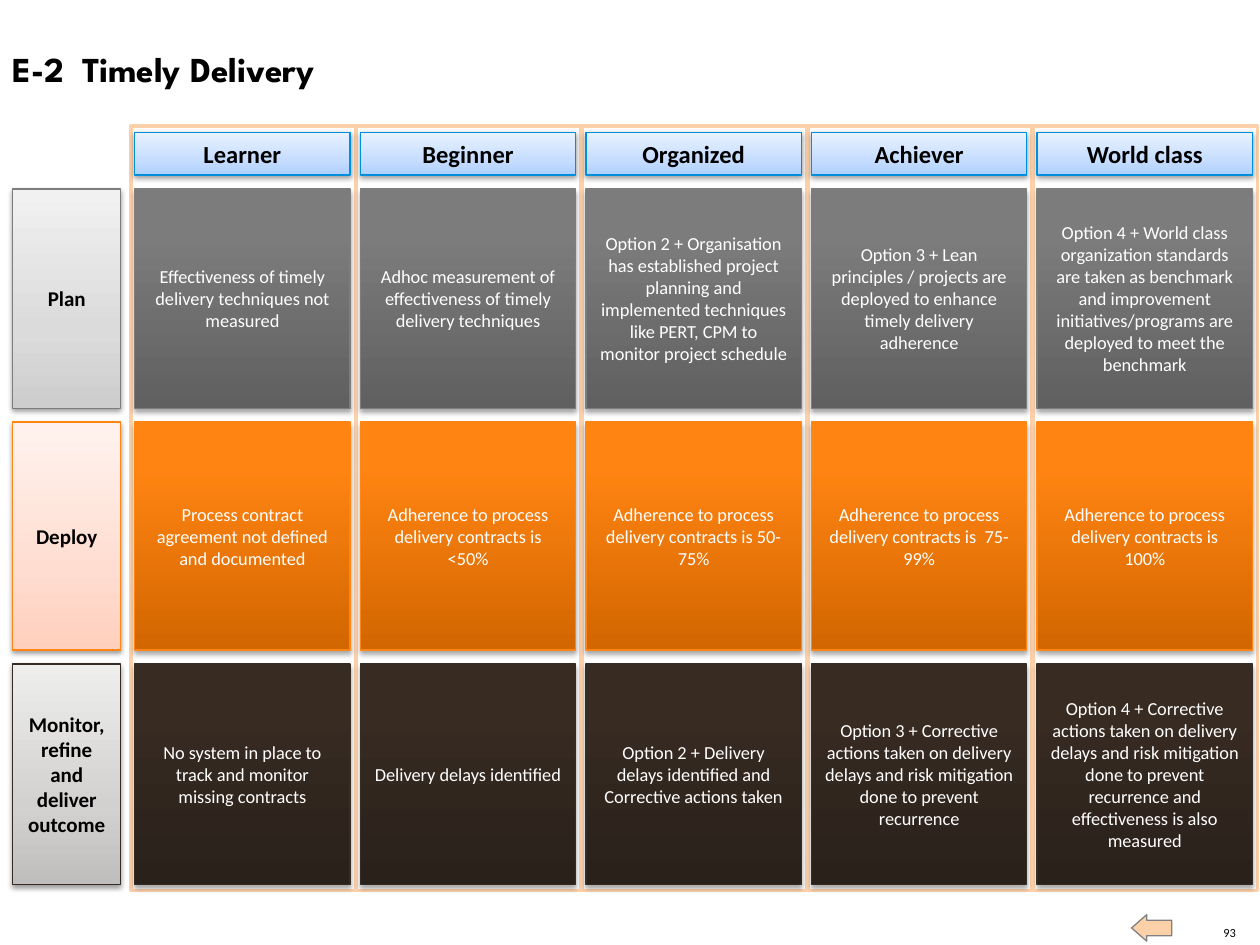
from lxml import etree
from pptx import Presentation
from pptx import util as u
from pptx.dml.color import RGBColor
from pptx.enum import shapes, text
from pptx.oxml import ns

BLACK = RGBColor(0x00, 0x00, 0x00)
WHITE = RGBColor(0xFF, 0xFF, 0xFF)
PEACH = RGBColor(0xFC, 0xD1, 0xAA)
GRAY = RGBColor(0x80, 0x80, 0x80)
PLAN_LINE = RGBColor(0x7D, 0x7D, 0x7D)
DEPLOY_LINE = RGBColor(0xFF, 0x86, 0x15)
MONITOR_LINE = RGBColor(0x35, 0x2C, 0x25)
HEADER_LINE = RGBColor(0x00, 0x8F, 0xDC)


def gradient(bottom, middle, top, middle_at):
    colors = [RGBColor.from_string(value) for value in (bottom, middle, top)]
    return list(zip((0, middle_at, 100), colors))


HEADER_FILL = gradient("AECFFF", "C6DDFF", "E9F2FF", 35)

LABEL_SHADOW = (38, 1.6)
CELL_SHADOW = (35, 1.8)

COLUMN_LEFT = 74.9
COLUMN_PITCH = 128.9
COLUMN_WIDTH = 128.2
CELL_INSET = 2.1
CELL_WIDTH = 123.1

LEVELS = ["Learner", "Beginner", "Organized", "Achiever", "World class"]

ROWS = [
    ("Plan", 108, 125.3, PLAN_LINE,
     gradient("CDCDCD", "DBDBDB", "F1F1F1", 35),
     gradient("606060", "7C7C7C", "7D7D7D", 80),
     ["Effectiveness of timely delivery techniques not measured",
      "Adhoc measurement of effectiveness of timely delivery techniques",
      "Option 2 + Organisation has established project planning and "
      "implemented techniques like PERT, CPM to monitor project schedule",
      "Option 3 + Lean principles / projects are deployed to enhance "
      "timely delivery adherence",
      "Option 4 + World class organization standards are taken as benchmark "
      "and improvement initiatives/programs are deployed to meet the benchmark"]),
    ("Deploy", 241.2, 130.3, DEPLOY_LINE,
     gradient("FFCFBD", "FFDDD1", "FFF2EE", 35),
     gradient("D26600", "FF8412", "FF8514", 80),
     ["Process contract agreement not defined and documented",
      "Adherence to process delivery contracts is <50%",
      "Adherence to process delivery contracts is 50-75%",
      "Adherence to process delivery contracts is  75-99%",
      "Adherence to process delivery contracts is 100%"]),
    ("Monitor, refine and deliver outcome", 379.4, 126, MONITOR_LINE,
     gradient("C0BEBC", "D3D1D0", "EEEEED", 35),
     gradient("2A211B", "372B22", "372B22", 80),
     ["No system in place to track and monitor missing contracts",
      "Delivery delays identified",
      "Option 2 + Delivery delays identified and Corrective actions taken",
      "Option 3 + Corrective actions taken on delivery delays and risk "
      "mitigation done to prevent recurrence",
      "Option 4 + Corrective actions taken on delivery delays and risk "
      "mitigation done to prevent recurrence and effectiveness is also measured"]),
]


def write(frame, words, size, color, bold=False, font="Calibri",
          align=text.PP_ALIGN.CENTER):
    paragraph = frame.paragraphs[0]
    paragraph.alignment = align
    run = paragraph.add_run()
    run.text = words
    run.font.name = font
    run.font.size = u.Pt(size)
    run.font.bold = bold
    run.font.color.rgb = color


def add_box(slide, kind, box, line_color, line_width):
    shape = slide.shapes.add_shape(kind, *map(u.Pt, box))
    shape.line.color.rgb = line_color
    shape.line.width = u.Pt(line_width)
    shape.shadow.inherit = False
    return shape


def add_solid(slide, kind, box, fill, line_color, line_width):
    shape = add_box(slide, kind, box, line_color, line_width)
    shape.fill.solid()
    shape.fill.fore_color.rgb = fill
    return shape


def add_color(parent, color):
    return etree.SubElement(parent, ns.qn("a:srgbClr"), val=str(color))


def set_gradient(shape, stops):
    shape.fill.gradient()
    shape.fill.gradient_angle = 90
    stop_list = shape.element.spPr.find(".//" + ns.qn("a:gsLst"))
    for stop in list(stop_list):
        stop_list.remove(stop)
    for position, color in stops:
        stop = etree.SubElement(stop_list, ns.qn("a:gs"), pos=str(position * 1000))
        add_color(stop, color)


def set_shadow(shape, opacity, distance):
    effects = shape.element.spPr.find(ns.qn("a:effectLst"))
    shadow = etree.SubElement(
        effects, ns.qn("a:outerShdw"), blurRad=str(u.Pt(3.1)),
        dist=str(u.Pt(distance)), dir="5400000", rotWithShape="0")
    etree.SubElement(add_color(shadow, BLACK), ns.qn("a:alpha"), val=str(opacity * 1000))


def add_card(slide, box, words, stops, line_color, shadow, size, color, bold):
    shape = add_box(slide, shapes.MSO_SHAPE.RECTANGLE, box, line_color, 0.75)
    set_gradient(shape, stops)
    set_shadow(shape, *shadow)
    frame = shape.text_frame
    frame.word_wrap = True
    frame.vertical_anchor = text.MSO_ANCHOR.MIDDLE
    write(frame, words, size, color, bold)


def add_title(slide, words):
    frame = slide.shapes.add_textbox(*map(u.Pt, (0, 23.8, 619.2, 31.7))).text_frame
    frame.word_wrap = True
    frame.auto_size = text.MSO_AUTO_SIZE.SHAPE_TO_FIT_TEXT
    write(frame, words, 20, BLACK, True, "League Spartan", text.PP_ALIGN.LEFT)


def add_page_number(slide, number):
    frame = slide.shapes.add_textbox(*map(u.Pt, (697.7, 528.5, 8.6, 8.6))).text_frame
    frame.margin_left = frame.margin_right = frame.margin_top = frame.margin_bottom = 0
    frame.word_wrap = False
    frame.auto_size = text.MSO_AUTO_SIZE.SHAPE_TO_FIT_TEXT
    frame.vertical_anchor = text.MSO_ANCHOR.BOTTOM
    write(frame, number, 7.1, BLACK, align=text.PP_ALIGN.RIGHT)


def add_back_arrow(slide):
    arrow = add_solid(slide, shapes.MSO_SHAPE.RIGHT_ARROW,
                      (646.6, 522.7, 23, 15.1), PEACH, GRAY, 0.75)
    arrow.rotation = 180
    arrow.adjustments[0] = 0.59
    arrow.adjustments[1] = 0.57


def main():
    presentation = Presentation()
    presentation.slide_width = u.Pt(720)
    presentation.slide_height = u.Pt(540)
    slide = presentation.slides.add_slide(presentation.slide_layouts[6])

    add_page_number(slide, "93")
    add_back_arrow(slide)
    add_title(slide, "E-2  Timely Delivery")

    column_lefts = [COLUMN_LEFT + index * COLUMN_PITCH for index in range(len(LEVELS))]
    cell_lefts = [left + CELL_INSET for left in column_lefts]
    for left in column_lefts:
        add_solid(slide, shapes.MSO_SHAPE.RECTANGLE,
                  (left, 72, COLUMN_WIDTH, 437), WHITE, PEACH, 2)

    for label, top, height, line_color, label_fill, cell_fill, cells in ROWS:
        add_card(slide, (7.2, top, 61.9, height), label, label_fill, line_color,
                 LABEL_SHADOW, 12, BLACK, True)
        for left, words in zip(cell_lefts, cells):
            add_card(slide, (left, top, CELL_WIDTH, height), words, cell_fill,
                     line_color, CELL_SHADOW, 10.5, WHITE, False)

    for left, level in zip(cell_lefts, LEVELS):
        add_card(slide, (left, 75.6, CELL_WIDTH, 24.5), level, HEADER_FILL,
                 HEADER_LINE, LABEL_SHADOW, 14, BLACK, True)

    presentation.save("out.pptx")


if __name__ == "__main__":
    main()
